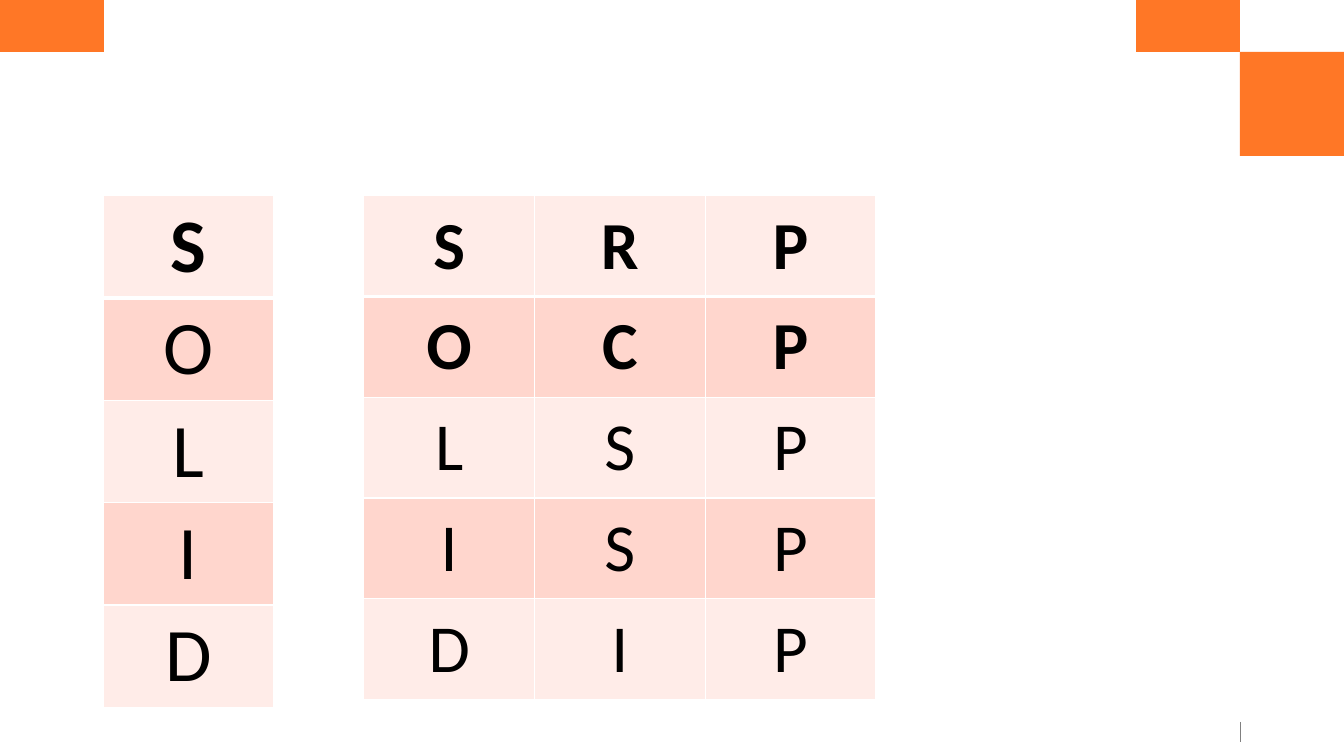
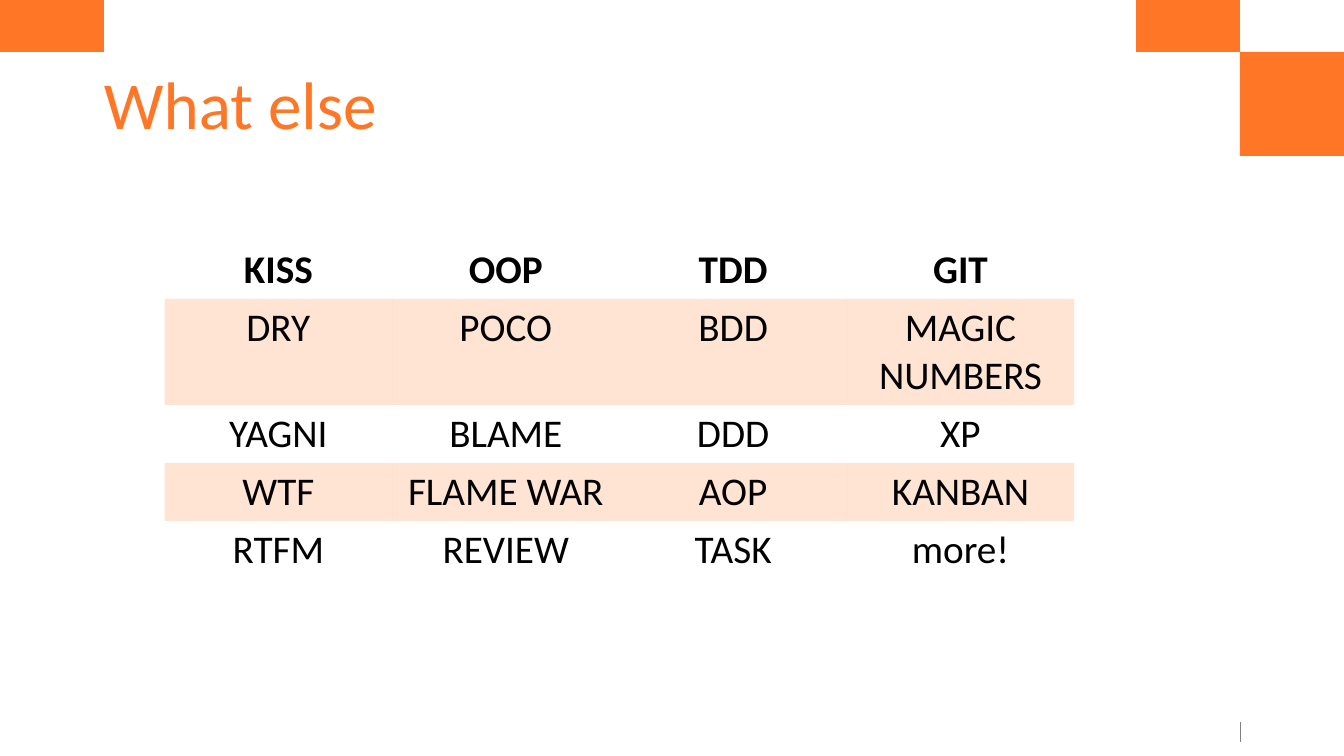
from dataclasses import dataclass

from lxml import etree
from pptx import Presentation
from pptx.dml.color import RGBColor
from pptx.enum.shapes import MSO_CONNECTOR, MSO_SHAPE
from pptx.enum.text import MSO_ANCHOR, PP_ALIGN
from pptx.oxml.ns import qn
from pptx.util import Cm, Pt

RECT = MSO_SHAPE.RECTANGLE
LINE = MSO_CONNECTOR.STRAIGHT
TOP, MIDDLE = MSO_ANCHOR.TOP, MSO_ANCHOR.MIDDLE
CENTER = PP_ALIGN.CENTER
PLAIN = "{2D5ABB26-0587-4C30-8999-92F81FD0307C}"


@dataclass(frozen=True)
class Theme:
    font: str = "Calibri"
    accent: str = "FF7726"
    ink: str = "000000"
    paper: str = "FFFFFF"
    rule: str = "808080"
    light: str = "FFECE8"
    dark: str = "FFD6CD"
    title: int = 48
    hero: int = 54
    grid: int = 48
    list: int = 28
    alpha: int = 20


THEME = Theme()
WIDTH, HEIGHT = 33.87, 19.05
UNIT = 2.62
EDGE = WIDTH - UNIT

ACRONYM = [[letter] for letter in "SOLID"]
RULES = ["SRP", "OCP", "LSP", "ISP", "DIP"]
TERMS = [
    ["KISS", "OOP", "TDD", "GIT"],
    ["DRY", "POCO", "BDD", "MAGIC NUMBERS"],
    ["YAGNI", "BLAME", "DDD", "XP"],
    ["WTF", "FLAME WAR", "AOP", "KANBAN"],
    ["RTFM", "REVIEW", "TASK", "more!"],
]


def color(code):
    return RGBColor.from_string(code)


def style(para, size, code, bold=False):
    font = para.font
    font.name, font.size, font.bold = THEME.font, Pt(size), bold
    font.color.rgb = color(code)


def add_block(slide, left, top, width, height):
    block = slide.shapes.add_shape(RECT, Cm(left), Cm(top), Cm(width), Cm(height))
    block.shadow.inherit = False
    block.fill.solid()
    block.fill.fore_color.rgb = color(THEME.accent)
    block.line.fill.background()


def add_frame(slide):
    """Draw the corner blocks and the footer tick shared by all slides."""
    tick = slide.shapes.add_connector(LINE, Cm(EDGE), Cm(18.19), Cm(EDGE), Cm(18.69))
    tick.line.color.rgb = color(THEME.rule)
    tick.line.width = Pt(0.5)
    etree.SubElement(tick.element.spPr, qn("a:effectLst"))
    add_block(slide, EDGE, UNIT / 2, UNIT, UNIT)
    for left in (EDGE - UNIT, 0):
        add_block(slide, left, 0, UNIT, UNIT / 2)


def add_title(slide, text):
    box = slide.shapes.add_textbox(Cm(UNIT), Cm(UNIT / 2), Cm(EDGE - 2 * UNIT), Cm(UNIT))
    frame = box.text_frame
    frame.word_wrap = True
    frame.vertical_anchor = MIDDLE
    frame.margin_left, frame.margin_top = Cm(0), Cm(0.3)
    frame.margin_right, frame.margin_bottom = Cm(1), Cm(0.13)
    para = frame.paragraphs[0]
    para.text = text
    para.line_spacing = 0.9
    style(para, THEME.title, THEME.accent)


def set_edges(cell, row):
    """Give a cell white borders, with a thick one below the first row."""
    props = cell._tc.get_or_add_tcPr()
    widths = {"L": 1, "R": 1, "T": 3 if row == 1 else 1, "B": 3 if row == 0 else 1}
    for side, width in widths.items():
        line = etree.SubElement(props, qn(f"a:ln{side}"), w=str(Pt(width)))
        fill = etree.SubElement(line, qn("a:solidFill"))
        etree.SubElement(fill, qn("a:srgbClr"), val=THEME.paper)


def set_fill(cell, code, alpha=100):
    if code is None:
        cell.fill.background()
        return
    cell.fill.solid()
    cell.fill.fore_color.rgb = color(code)
    if alpha < 100:
        tone = cell._tc.tcPr.find(".//" + qn("a:srgbClr"))
        etree.SubElement(tone, qn("a:alpha"), val=str(alpha * 1000))


def add_grid(slide, rows, left, top, col, height, size, bands,
             heads=1, anchor=TOP, edges=False, alpha=100):
    """Place a table whose rows take turns between the two band colours."""
    count = len(rows[0])
    frame = slide.shapes.add_table(len(rows), count, Cm(left), Cm(top),
                                   Cm(col * count), Cm(height * len(rows)))
    next(frame.element.iter(qn("a:tableStyleId"))).text = PLAIN
    table = frame.table
    for column in table.columns:
        column.width = Cm(col)
    for i, texts in enumerate(rows):
        table.rows[i].height = Cm(height)
        for j, text in enumerate(texts):
            cell = table.cell(i, j)
            cell.vertical_anchor = anchor
            if edges:
                set_edges(cell, i)
            set_fill(cell, bands[i % 2], alpha)
            para = cell.text_frame.paragraphs[0]
            para.text = text
            para.alignment = CENTER
            style(para, size, THEME.ink, i < heads)


def build_solid(slide):
    add_frame(slide)
    bands = (THEME.light, THEME.dark)
    add_grid(slide, ACRONYM, 2.6, 4.93, 4.3, 2.54, THEME.hero, bands, edges=True)
    add_grid(slide, RULES, 9.17, 4.93, 4.3, 2.54, THEME.grid, bands,
             heads=2, anchor=MIDDLE, edges=True)


def build_terms(slide):
    add_frame(slide)
    add_grid(slide, TERMS, 4.15, 6.07, 5.73, 1.45, THEME.list,
             (None, THEME.accent), alpha=THEME.alpha)
    add_title(slide, "What else")


def main():
    deck = Presentation()
    deck.slide_width, deck.slide_height = Cm(WIDTH), Cm(HEIGHT)
    for build in (build_solid, build_terms):
        build(deck.slides.add_slide(deck.slide_layouts[6]))
    deck.save("out.pptx")


if __name__ == "__main__":
    main()
